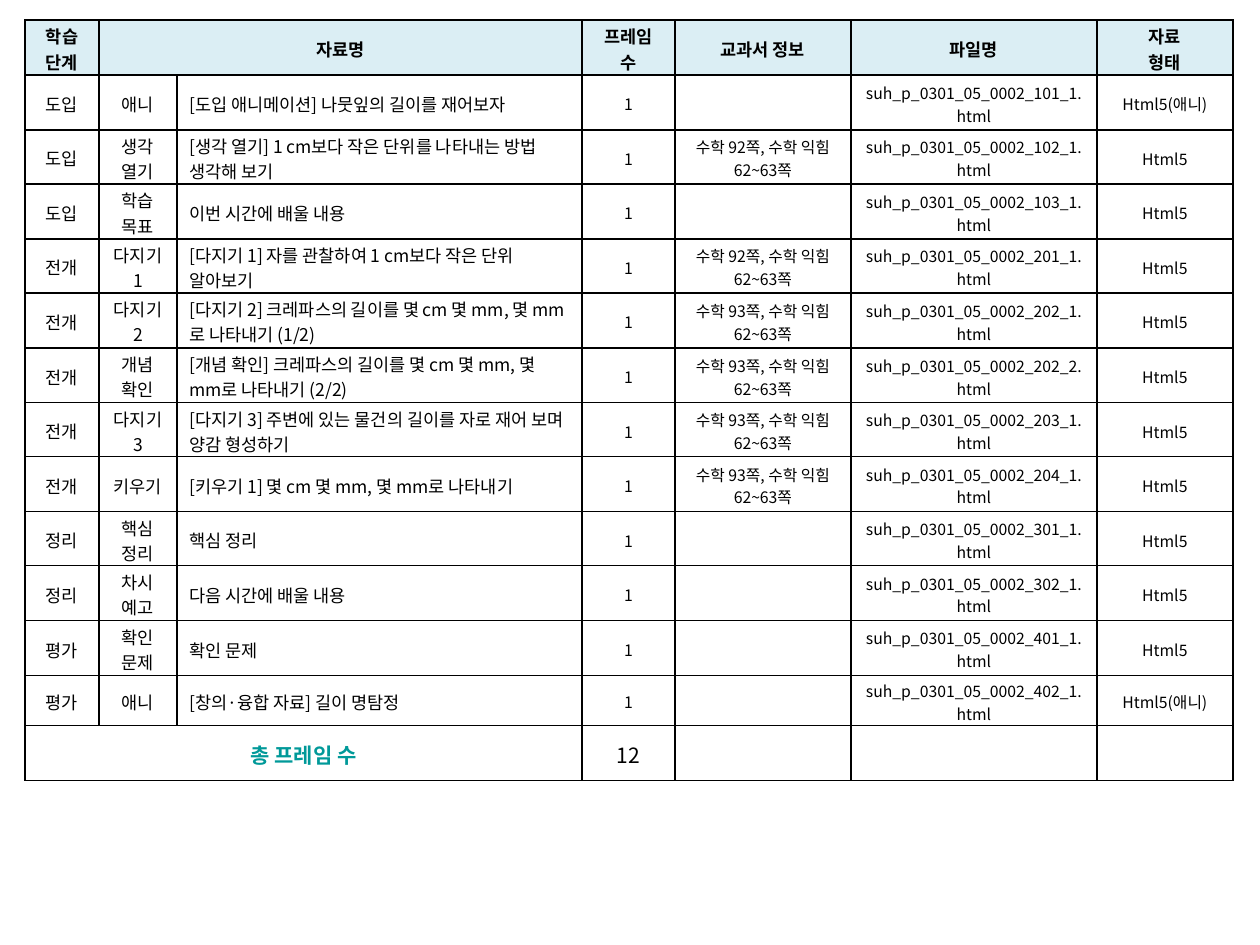
from itertools import pairwise
from typing import NamedTuple

from lxml import etree
from pptx import Presentation
from pptx.dml.color import RGBColor
from pptx.enum.text import MSO_ANCHOR, PP_ALIGN
from pptx.oxml.ns import qn
from pptx.util import Emu, Pt

MIDDLE = MSO_ANCHOR.MIDDLE
LEFT, CENTER = PP_ALIGN.LEFT, PP_ALIGN.CENTER
FONT = "Noto Sans CJK KR"
BLACK, WHITE, TEAL, PALE_BLUE = "000000", "FFFFFF", "009999", "DBEEF4"
COLUMN_EDGES = (25, 99, 177, 582, 675, 851, 1097, 1233)
ROW_EDGES = (20, 75, 130, 184, 239, 293, 348, 403, 457, 512, 566, 621, 676, 726, 781)
HEADERS = ("학습 단계", "자료명", "", "프레임 수", "교과서 정보", "파일명", "자료\n형태")
COLUMN_SIZES = (10, 10, 10, 9, 9, 9, 9)
NAME_COLUMN = 2


class Style(NamedTuple):
    size: int
    color: str = BLACK
    bold: bool = False
    align: PP_ALIGN = CENTER


class Lesson(NamedTuple):
    stage: str
    step: str
    name: str
    page: int
    file_code: str
    form: str = "Html5"


LESSONS = (
    Lesson("도입", "애니", "[도입 애니메이션] 나뭇잎의 길이를 재어보자", 0, "101_1", "Html5(애니)"),
    Lesson("도입", "생각 열기", "[생각 열기] 1 cm보다 작은 단위를 나타내는 방법 생각해 보기", 92, "102_1"),
    Lesson("도입", "학습 목표", "이번 시간에 배울 내용", 0, "103_1"),
    Lesson("전개", "다지기 1", "[다지기 1] 자를 관찰하여 1 cm보다 작은 단위 알아보기", 92, "201_1"),
    Lesson("전개", "다지기 2", "[다지기 2] 크레파스의 길이를 몇 cm 몇 mm, 몇 mm로 나타내기 (1/2)", 93, "202_1"),
    Lesson("전개", "개념 확인", "[개념 확인] 크레파스의 길이를 몇 cm 몇 mm, 몇 mm로 나타내기 (2/2)", 93, "202_2"),
    Lesson("전개", "다지기 3", "[다지기 3] 주변에 있는 물건의 길이를 자로 재어 보며 양감 형성하기", 93, "203_1"),
    Lesson("전개", "키우기", "[키우기 1] 몇 cm 몇 mm, 몇 mm로 나타내기", 93, "204_1"),
    Lesson("정리", "핵심 정리", "핵심 정리", 0, "301_1"),
    Lesson("정리", "차시 예고", "다음 시간에 배울 내용", 0, "302_1"),
    Lesson("평가", "확인 문제", "확인 문제", 0, "401_1"),
    Lesson("평가", "애니", "[창의·융합 자료] 길이 명탐정", 0, "402_1", "Html5(애니)"),
)


def px(length: int) -> Emu:
    """Turn pixels at 126 to the inch into EMU."""
    return Emu(round(length * 914400 / 126))


def rgb(value: str) -> RGBColor:
    """Turn a hex string into a colour."""
    return RGBColor.from_string(value)


def add_borders(cell) -> None:
    """Give a cell thin black lines on all four sides."""
    properties = cell._tc.get_or_add_tcPr()
    for side in ("a:lnL", "a:lnR", "a:lnT", "a:lnB"):
        line = etree.SubElement(properties, qn(side), w=str(Pt(1)))
        fill = etree.SubElement(line, qn("a:solidFill"))
        etree.SubElement(fill, qn("a:srgbClr"), val=BLACK)


def format_cell(cell, text: str, style: Style, fill: str) -> None:
    """Write and format one table cell."""
    add_borders(cell)
    cell.fill.solid()
    cell.fill.fore_color.rgb = rgb(fill)
    cell.vertical_anchor = MIDDLE
    cell.margin_top, cell.margin_bottom = px(3), px(0)
    if not text:
        return
    cell.text_frame.text = text
    for para in cell.text_frame.paragraphs:
        para.alignment = style.align
        for span in para.runs:
            font = span.font
            font.name, font.size, font.bold = FONT, Pt(style.size), style.bold
            font.color.rgb = rgb(style.color)
            etree.SubElement(span._r.get_or_add_rPr(), qn("a:ea"), typeface=FONT)


def lesson_texts(lesson: Lesson) -> tuple[str, ...]:
    """List the cell texts of a lesson row."""
    textbook = f"수학 {lesson.page}쪽, 수학 익힘 62~63쪽" if lesson.page else ""
    file_name = f"suh_p_0301_05_0002_{lesson.file_code}.html"
    return (lesson.stage, lesson.step, lesson.name, "1", textbook, file_name, lesson.form)


def add_lesson_table(page) -> None:
    """Draw the table of lesson materials."""
    left, top = COLUMN_EDGES[0], ROW_EDGES[0]
    table = page.shapes.add_table(
        len(ROW_EDGES) - 1, len(COLUMN_EDGES) - 1, px(left), px(top),
        px(COLUMN_EDGES[-1] - left), px(ROW_EDGES[-1] - top)).table
    table.first_row = table.horz_banding = False
    for column, (start, end) in zip(table.columns, pairwise(COLUMN_EDGES)):
        column.width = px(end - start)
    for row, (start, end) in zip(table.rows, pairwise(ROW_EDGES)):
        row.height = px(end - start)

    for cell, text in zip(table.rows[0].cells, HEADERS):
        format_cell(cell, text, Style(10, bold=True), PALE_BLUE)
    for number, lesson in enumerate(LESSONS, start=1):
        for index, text in enumerate(lesson_texts(lesson)):
            align = LEFT if index == NAME_COLUMN else CENTER
            style = Style(COLUMN_SIZES[index], align=align)
            format_cell(table.cell(number, index), text, style, WHITE)

    total = len(LESSONS) + 1
    totals = ("총 프레임 수", "", "", str(len(LESSONS)), "", "", "")
    for index, text in enumerate(totals):
        style = Style(12, TEAL, True) if index == 0 else Style(12)
        format_cell(table.cell(total, index), text, style, WHITE)
    table.cell(0, 1).merge(table.cell(0, NAME_COLUMN))
    table.cell(total, 0).merge(table.cell(total, NAME_COLUMN))


def main() -> None:
    """Build and save the deck."""
    deck = Presentation()
    deck.slide_width, deck.slide_height = px(1260), px(945)
    page = deck.slides.add_slide(deck.slide_layouts[6])
    add_lesson_table(page)
    deck.save("out.pptx")


if __name__ == "__main__":
    main()
